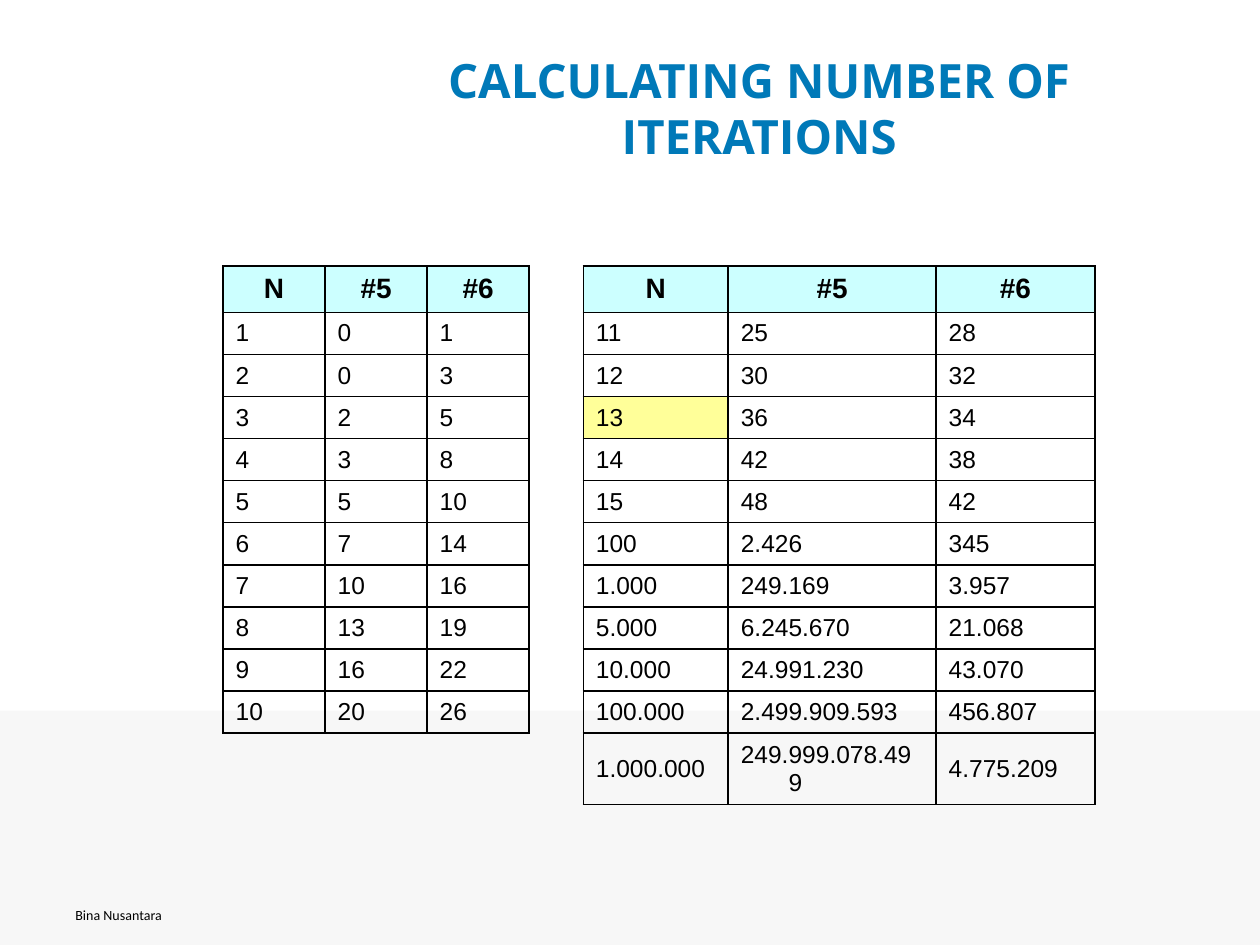
from pptx import Presentation
from pptx.dml.color import RGBColor
from pptx.enum.shapes import MSO_SHAPE
from pptx.enum.text import MSO_ANCHOR, PP_ALIGN
from pptx.oxml.ns import qn
from pptx.util import Inches, Pt
from lxml.etree import Element, SubElement

BLACK = RGBColor(0x00, 0x00, 0x00)
BLUE = RGBColor(0x00, 0x79, 0xB8)
BAND_GREY = RGBColor(0xF7, 0xF7, 0xF7)
HEADER_CYAN = RGBColor(0xCC, 0xFF, 0xFF)
HIGHLIGHT_YELLOW = RGBColor(0xFF, 0xFF, 0x99)

TITLE = "CALCULATING NUMBER OF ITERATIONS"
FOOTER = "Bina Nusantara"
HEADER = ("N", "#5", "#6")
LEFT_BLOCK = [
    ("1", "0", "1"),
    ("2", "0", "3"),
    ("3", "2", "5"),
    ("4", "3", "8"),
    ("5", "5", "10"),
    ("6", "7", "14"),
    ("7", "10", "16"),
    ("8", "13", "19"),
    ("9", "16", "22"),
    ("10", "20", "26"),
    ("", "", ""),
]
RIGHT_BLOCK = [
    ("11", "25", "28"),
    ("12", "30", "32"),
    ("13", "36", "34"),
    ("14", "42", "38"),
    ("15", "48", "42"),
    ("100", "2.426", "345"),
    ("1.000", "249.169", "3.957"),
    ("5.000", "6.245.670", "21.068"),
    ("10.000", "24.991.230", "43.070"),
    ("100.000", "2.499.909.593", "456.807"),
    ("1.000.000", "249.999.078.499", "4.775.209"),
]
HIGHLIGHTED_CELL = (3, 4)  # row, column
ROWS = [left + ("",) + right
        for left, right in zip([HEADER] + LEFT_BLOCK, [HEADER] + RIGHT_BLOCK)]

SLIDE_WIDTH, SLIDE_HEIGHT = 10, 7.5
BAND_TOP = 5.64
TABLE_LEFT, TABLE_TOP = 1.77, 2.11
COLUMN_WIDTHS = [0.81] * 3 + [0.43, 1.15, 1.65, 1.26]
ROW_HEIGHTS = [0.37] + [0.33] * (len(ROWS) - 1)
HANGING_INDENT = Inches(0.38)
NEIGHBOURS = {"a:lnL": (0, -1), "a:lnR": (0, 1), "a:lnT": (-1, 0), "a:lnB": (1, 0)}


def add_run(paragraph, text, font_name, size, color, bold=False):
    run = paragraph.add_run()
    run.text = text
    run.font.name = font_name
    run.font.size = Pt(size)
    run.font.color.rgb = color
    run.font.bold = bold


def add_text(slide, box, text, alignment, *font):
    frame = slide.shapes.add_textbox(*map(Inches, box)).text_frame
    frame.word_wrap = True
    frame.vertical_anchor = MSO_ANCHOR.MIDDLE
    paragraph = frame.paragraphs[0]
    paragraph.alignment = alignment
    add_run(paragraph, text, *font)


def has_text(row, column):
    return (0 <= row < len(ROWS) and 0 <= column < len(COLUMN_WIDTHS)
            and ROWS[row][column] != "")


def draw_borders(cell, row, column):
    """Rule every edge that touches a cell with text; clear the others."""
    properties = cell._tc.get_or_add_tcPr()
    for index, (edge, (down, across)) in enumerate(NEIGHBOURS.items()):
        line = Element(qn(edge), w=str(Pt(1)))
        if has_text(row, column) or has_text(row + down, column + across):
            fill = SubElement(line, qn("a:solidFill"))
            SubElement(fill, qn("a:srgbClr"), val=str(BLACK))
        else:
            SubElement(line, qn("a:noFill"))
        properties.insert(index, line)


def fill_cell(cell, row, column):
    if row == 0 and has_text(row, column):
        color = HEADER_CYAN
    elif (row, column) == HIGHLIGHTED_CELL:
        color = HIGHLIGHT_YELLOW
    else:
        cell.fill.background()
        return
    cell.fill.solid()
    cell.fill.fore_color.rgb = color


def write_cell(cell, text, is_header):
    if not text:
        # without margins an empty line fits the row height
        cell.margin_top = cell.margin_bottom = 0
        return
    cell.vertical_anchor = MSO_ANCHOR.MIDDLE
    cell.margin_left = cell.margin_right = Inches(0.1)
    cell.margin_top = cell.margin_bottom = Inches(0.05)
    paragraph = cell.text_frame.paragraphs[0]
    paragraph.alignment = PP_ALIGN.CENTER if is_header else PP_ALIGN.LEFT
    properties = paragraph._p.get_or_add_pPr()
    properties.set("marL", str(HANGING_INDENT))
    properties.set("indent", str(-HANGING_INDENT))
    add_run(paragraph, text, "Arial", 16 if is_header else 14, BLACK, is_header)


def add_iteration_table(slide):
    table = slide.shapes.add_table(
        len(ROWS), len(COLUMN_WIDTHS), Inches(TABLE_LEFT), Inches(TABLE_TOP),
        Inches(sum(COLUMN_WIDTHS)), Inches(sum(ROW_HEIGHTS))).table
    table.first_row = table.horz_banding = False
    for column, width in zip(table.columns, COLUMN_WIDTHS):
        column.width = Inches(width)
    for table_row, height in zip(table.rows, ROW_HEIGHTS):
        table_row.height = Inches(height)
    for row, texts in enumerate(ROWS):
        for column, text in enumerate(texts):
            cell = table.cell(row, column)
            fill_cell(cell, row, column)
            write_cell(cell, text, row == 0)
            draw_borders(cell, row, column)


def main():
    presentation = Presentation()
    presentation.slide_width = Inches(SLIDE_WIDTH)
    presentation.slide_height = Inches(SLIDE_HEIGHT)
    slide = presentation.slides.add_slide(presentation.slide_layouts[6])

    band = slide.shapes.add_shape(
        MSO_SHAPE.RECTANGLE, 0, Inches(BAND_TOP),
        Inches(SLIDE_WIDTH), Inches(SLIDE_HEIGHT - BAND_TOP))
    band.shadow.inherit = False
    band.fill.solid()
    band.fill.fore_color.rgb = BAND_GREY
    band.line.fill.background()

    add_text(slide, (0.5, 7.06, 2.33, 0.4), FOOTER, PP_ALIGN.LEFT,
             "Calibri", 8, BLACK)
    add_text(slide, (2.4, 0.54, 7.25, 0.63), TITLE, PP_ALIGN.CENTER,
             "Open Sans", 27, BLUE, True)
    add_iteration_table(slide)
    presentation.save("out.pptx")


if __name__ == "__main__":
    main()
